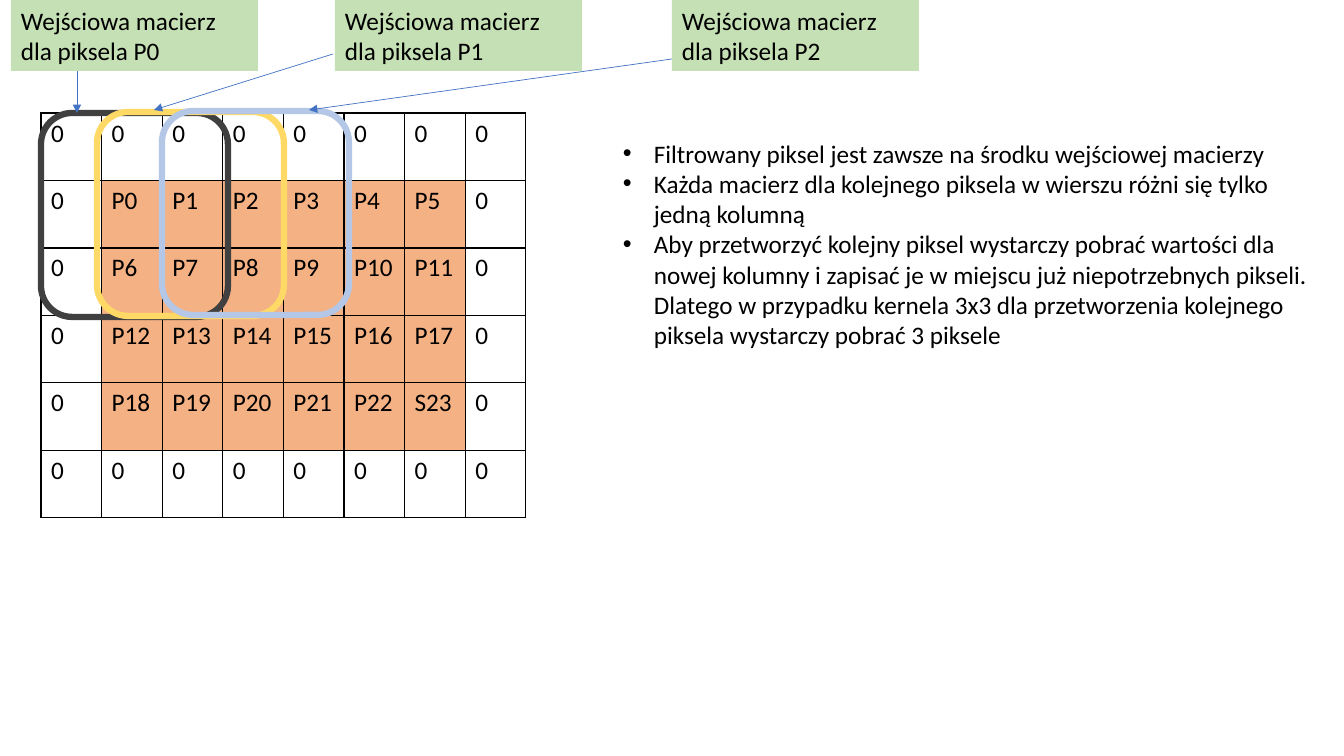
import dataclasses

import pptx
import pptx.dml.color
import pptx.enum.shapes
import pptx.enum.text
import pptx.oxml
import pptx.oxml.ns
import pptx.util

SCALE = 914400 / 100.8


@dataclasses.dataclass(frozen=True)
class Theme:
    font: str = "Calibri"
    size: int = 18
    text: str = "000000"
    pixel: str = "F4B183"
    label: str = "C5E0B4"
    arrow: str = "4472C4"
    rings: tuple = ("404040", "FFD966", "B4C7E7")


theme = Theme()
rgb = pptx.dml.color.RGBColor.from_string
shape_types = pptx.enum.shapes.MSO_SHAPE


def px(*lengths):
    return [pptx.util.Emu(round(length * SCALE)) for length in lengths]


def add_text(paragraph, text):
    paragraph.alignment = pptx.enum.text.PP_ALIGN.LEFT
    run = paragraph.add_run()
    run.text = text
    run.font.name = theme.font
    run.font.size = pptx.util.Pt(theme.size)
    run.font.color.rgb = rgb(theme.text)


presentation = pptx.Presentation()
presentation.slide_width, presentation.slide_height = px(1344, 756)
slide = presentation.slides.add_slide(presentation.slide_layouts[6])
shapes = slide.shapes

ROWS, COLUMNS = 6, 8
table = shapes.add_table(ROWS, COLUMNS, *px(41, 113, 485, 405)).table
table.first_row = False
table.horz_banding = False
for column in table.columns:
    column.width = px(485 / COLUMNS)[0]
for row in table.rows:
    row.height = px(405 / ROWS)[0]

namespace = pptx.oxml.ns.nsdecls("a")
for row in range(ROWS):
    for column in range(COLUMNS):
        cell = table.cell(row, column)
        properties = cell._tc.get_or_add_tcPr()
        for side in "LRTB":
            properties.append(pptx.oxml.parse_xml(
                f'<a:ln{side} {namespace} w="12700"><a:solidFill>'
                f'<a:srgbClr val="{theme.text}"/></a:solidFill></a:ln{side}>'))
        if 0 < row < ROWS - 1 and 0 < column < COLUMNS - 1:
            index = (row - 1) * (COLUMNS - 2) + column - 1
            value = f"P{index}" if index < 23 else "S23"
            cell.fill.solid()
            cell.fill.fore_color.rgb = rgb(theme.pixel)
        else:
            value = "0"
            cell.fill.background()
        add_text(cell.text_frame.paragraphs[0], value)

for (left, top), color in zip([(41, 113), (97, 112), (162, 111)], theme.rings):
    ring = shapes.add_shape(shape_types.ROUNDED_RECTANGLE, *px(left, top, 187, 204))
    ring.shadow.inherit = False
    ring.fill.background()
    ring.line.color.rgb = rgb(color)
    ring.line.width = pptx.util.Pt(4.5)

for ends in [(77, 65, 77, 113), (333, 54, 154, 110), (672, 59, 309, 110)]:
    arrow = shapes.add_connector(pptx.enum.shapes.MSO_CONNECTOR.STRAIGHT, *px(*ends))
    arrow.line.color.rgb = rgb(theme.arrow)
    arrow.line.width = pptx.util.Pt(0.5)
    shape_properties = arrow.element.spPr
    shape_properties.find(pptx.oxml.ns.qn("a:ln")).append(
        pptx.oxml.parse_xml(f'<a:tailEnd {namespace} type="triangle"/>'))
    shape_properties.append(pptx.oxml.parse_xml(f"<a:effectLst {namespace}/>"))

for number, left in enumerate([11, 335, 672]):
    label = shapes.add_shape(shape_types.RECTANGLE, *px(left, 0, 247, 71))
    label.shadow.inherit = False
    label.fill.solid()
    label.fill.fore_color.rgb = rgb(theme.label)
    label.line.fill.background()
    frame = label.text_frame
    frame.word_wrap = True
    frame.auto_size = pptx.enum.text.MSO_AUTO_SIZE.SHAPE_TO_FIT_TEXT
    frame.vertical_anchor = pptx.enum.text.MSO_ANCHOR.TOP
    add_text(frame.paragraphs[0], f"Wejściowa macierz dla piksela P{number}")

notes = [
    "Filtrowany piksel jest zawsze na środku wejściowej macierzy",
    "Każda macierz dla kolejnego piksela w wierszu różni się tylko jedną kolumną",
    "Aby przetworzyć kolejny piksel wystarczy pobrać wartości dla nowej kolumny "
    "i zapisać je w miejscu już niepotrzebnych pikseli. Dlatego w przypadku "
    "kernela 3x3 dla przetworzenia kolejnego piksela wystarczy pobrać 3 piksele",
]
frame = shapes.add_textbox(*px(613, 133, 716, 224)).text_frame
frame.word_wrap = True
frame.auto_size = pptx.enum.text.MSO_AUTO_SIZE.SHAPE_TO_FIT_TEXT
indent = px(31)[0]
for index, note in enumerate(notes):
    paragraph = frame.add_paragraph() if index else frame.paragraphs[0]
    add_text(paragraph, note)
    properties = paragraph._p.get_or_add_pPr()
    properties.set("marL", str(indent))
    properties.set("indent", str(-indent))
    properties.append(pptx.oxml.parse_xml(f'<a:buFont {namespace} typeface="Arial"/>'))
    properties.append(pptx.oxml.parse_xml(f'<a:buChar {namespace} char="•"/>'))

presentation.save("out.pptx")
